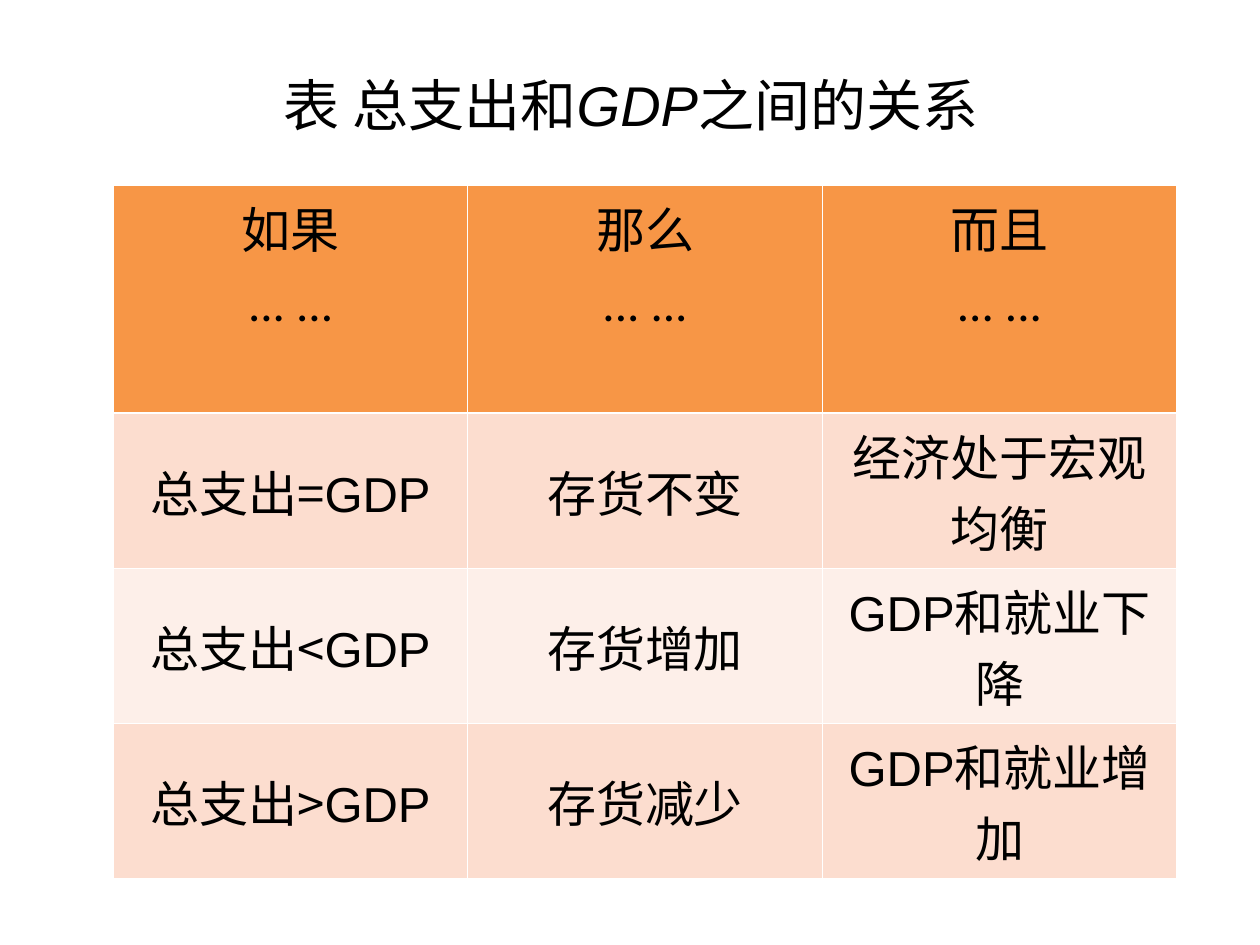
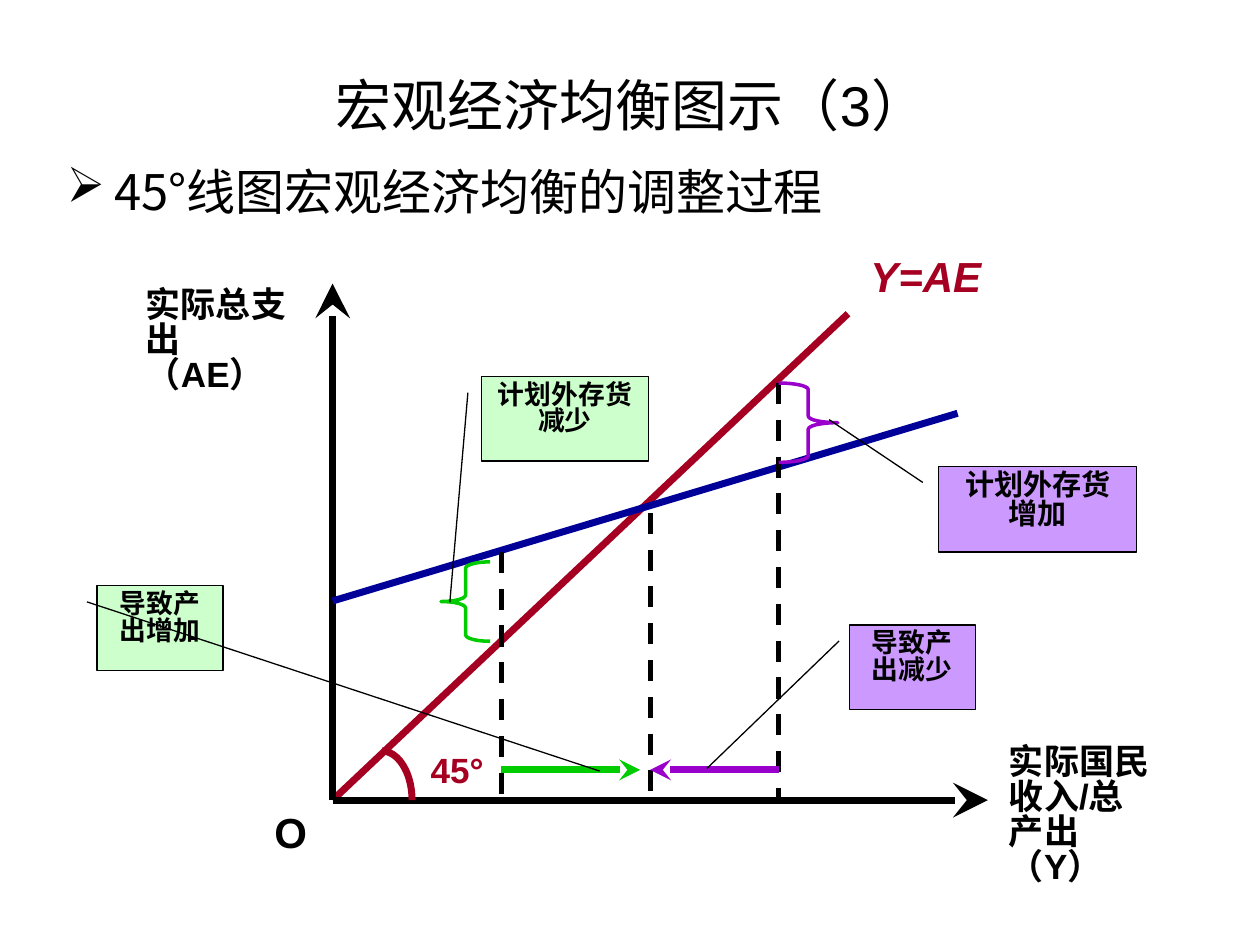
from dataclasses import dataclass
from typing import Any, NamedTuple

from pptx import Presentation
from pptx.dml.color import RGBColor
from pptx.enum.dml import MSO_LINE
from pptx.enum.shapes import MSO_CONNECTOR, MSO_SHAPE
from pptx.enum.text import MSO_ANCHOR, PP_ALIGN
from pptx.oxml.ns import qn
from pptx.util import Emu, Inches, Pt
from lxml.etree import SubElement, Element

BLACK = RGBColor(0x00, 0x00, 0x00)
WHITE = RGBColor(0xFF, 0xFF, 0xFF)
ORANGE = RGBColor(0xF7, 0x96, 0x46)
PEACH = RGBColor(0xFC, 0xDD, 0xCF)
PALE_PEACH = RGBColor(0xFD, 0xEF, 0xE9)
CRIMSON = RGBColor(0xA5, 0x00, 0x21)
NAVY = RGBColor(0x00, 0x00, 0x99)
PURPLE = RGBColor(0x99, 0x00, 0xCC)
LILAC = RGBColor(0xCC, 0x99, 0xFF)
GREEN = RGBColor(0x00, 0xCC, 0x00)
MINT = RGBColor(0xCC, 0xFF, 0xCC)

SANS = "Arial"
HEADER_FONT = "Calibri"
CHINESE = "Noto Sans CJK SC"
TIGHT = 0.83

SLIDE_WIDTH, SLIDE_HEIGHT = Inches(10), Inches(7.5)
COLUMNS, ROWS = 100, 75


class Run(NamedTuple):
    text: str
    font: str = CHINESE
    italic: bool = False


class Box(NamedTuple):
    left: float
    top: float
    width: float
    height: float


class Point(NamedTuple):
    x: float
    y: float


@dataclass(frozen=True)
class Stroke:
    start: Point
    end: Point
    color: RGBColor = BLACK
    width: float = 4
    dashed: bool = False
    arrow: str = ""


@dataclass(frozen=True)
class Label:
    text: str
    box: Box
    size: float
    color: RGBColor = BLACK
    italic: bool = False
    spacing: float = 1.0


@dataclass(frozen=True)
class Callout:
    text: str
    box: Box
    target: Point
    fill: RGBColor
    size: float = 15.3


@dataclass(frozen=True)
class Curve:
    kind: MSO_SHAPE
    box: Box
    color: RGBColor
    width: float
    bend: float = 0


TITLE_BOX = Box(5.1, 3.6, 90, 9.4)
BODY_BOX = Box(4.3, 12.3, 90, 59.8)

TABLE_BOX = Box(9, 14.7, 84.4, 55)
TABLE_ROWS = (18.1, 12.3, 12.3, 12.3)
HEADERS = ("如果", "那么", "而且")
GDP = Run("GDP", SANS)
RELATIONS = (
    ((Run("总支出="), GDP), (Run("存货不变"),), (Run("经济处于宏观均衡"),)),
    ((Run("总支出<"), GDP), (Run("存货增加"),), (GDP, Run("和就业下降"))),
    ((Run("总支出>"), GDP), (Run("存货减少"),), (GDP, Run("和就业增加"))),
)

ORIGIN = Point(26.4, 63.5)
LOW_OUTPUT, BALANCED_OUTPUT, HIGH_OUTPUT = 39.8, 51.6, 61.8
ADJUSTMENT_LEVEL = 61.1

STROKES = (
    Stroke(ORIGIN, Point(67.3, 24.9), CRIMSON),
    Stroke(ORIGIN, Point(ORIGIN.x, 22.5), arrow="lg"),
    Stroke(ORIGIN, Point(78.4, ORIGIN.y), arrow="lg"),
    Stroke(Point(ORIGIN.x, 47.7), Point(76, 32.8), NAVY),
    *(Stroke(Point(output, top), Point(output, ORIGIN.y), width=3, dashed=True)
      for output, top in ((HIGH_OUTPUT, 30.4), (LOW_OUTPUT, 43.8),
                          (BALANCED_OUTPUT, 40.7))),
    Stroke(Point(HIGH_OUTPUT, ADJUSTMENT_LEVEL),
           Point(BALANCED_OUTPUT, ADJUSTMENT_LEVEL), PURPLE, arrow="med"),
    Stroke(Point(LOW_OUTPUT, ADJUSTMENT_LEVEL),
           Point(50.8, ADJUSTMENT_LEVEL), GREEN, arrow="med"),
)
CURVES = (
    Curve(MSO_SHAPE.ARC, Box(27.9, 59.6, 4.8, 7.8), CRIMSON, 4),
    Curve(MSO_SHAPE.RIGHT_BRACE, Box(HIGH_OUTPUT, 30.4, 4.7, 6.3), PURPLE, 2, 0.11),
    Curve(MSO_SHAPE.LEFT_BRACE, Box(35, 44.6, 3.9, 6.3), GREEN, 2, 0.13),
)
LABELS = (
    Label("45°", Box(33.2, 58.9, 8.9, 4.4), 20, CRIMSON),
    Label("Y=AE", Box(68.1, 19.4, 11.3, 5), 24, CRIMSON, italic=True),
    Label("O", Box(20.8, 63.5, 4.7, 5), 24),
    Label("实际总支出（AE）", Box(10.6, 22.5, 13.4, 11), 20, spacing=TIGHT),
    Label("实际国民收入/总产出（Y）", Box(79.1, 58.8, 13.4, 14.4), 20, spacing=TIGHT),
)
CALLOUTS = (
    Callout("计划外存货增加", Box(74.5, 37, 15.7, 6.8), Point(65.8, 33.3), LILAC, 16.6),
    Callout("导致产出减少", Box(67.4, 49.6, 10, 6.7), Point(56.1, 61), LILAC),
    Callout("计划外存货减少", Box(38.2, 29.9, 13.3, 6.7), Point(35.7, 47.8), MINT),
    Callout("导致产出增加", Box(7.7, 46.5, 10, 6.7), Point(47.6, 61.2), MINT),
)


def column(count: float) -> Emu:
    return Emu(round(SLIDE_WIDTH * count / COLUMNS))


def row(count: float) -> Emu:
    return Emu(round(SLIDE_HEIGHT * count / ROWS))


def place(box: Box) -> tuple[Emu, Emu, Emu, Emu]:
    return column(box.left), row(box.top), column(box.width), row(box.height)


def apply_format(target: Any, values: dict[str, Any]) -> None:
    for name, value in values.items():
        setattr(target, name, value)


def write(paragraph: Any, runs: tuple[Run, ...], size: float,
          color: RGBColor = BLACK, bold: bool = False, **layout: Any) -> None:
    apply_format(paragraph, layout)
    for part in runs:
        run = paragraph.add_run()
        run.text = part.text
        apply_format(run.font, {"name": part.font, "size": Pt(size),
                                "bold": bold, "italic": part.italic})
        run.font.color.rgb = color
        SubElement(run.font._element, qn("a:ea"), typeface=CHINESE)


def add_text_box(slide: Any, box: Box, anchor: MSO_ANCHOR = MSO_ANCHOR.TOP) -> Any:
    frame = slide.shapes.add_textbox(*place(box)).text_frame
    apply_format(frame, {"word_wrap": True, "vertical_anchor": anchor})
    return frame.paragraphs[0]


def add_title(slide: Any, *runs: Run) -> None:
    paragraph = add_text_box(slide, TITLE_BOX, MSO_ANCHOR.MIDDLE)
    write(paragraph, runs, 32, alignment=PP_ALIGN.CENTER)


def add_bullet(slide: Any, text: str) -> None:
    paragraph = add_text_box(slide, BODY_BOX)
    properties = paragraph._p.get_or_add_pPr()
    indent = column(3.8)
    properties.set("marL", str(indent))
    properties.set("indent", str(-indent))
    SubElement(properties, qn("a:buChar"), char="➢")
    write(paragraph, (Run(text),), 28)


def set_borders(cell: Any, widths: dict[str, float]) -> None:
    properties = cell._tc.get_or_add_tcPr()
    for index, (side, width) in enumerate(widths.items()):
        line = Element(qn(f"a:{side}"), w=str(Pt(width)))
        fill = SubElement(line, qn("a:solidFill"))
        SubElement(fill, qn("a:srgbClr"), val=str(WHITE))
        properties.insert(index, line)


def style_cell(cell: Any, fill: RGBColor, anchor: MSO_ANCHOR,
               top: float, bottom: float) -> None:
    cell.vertical_anchor = anchor
    cell.fill.solid()
    cell.fill.fore_color.rgb = fill
    set_borders(cell, {"lnL": 0.45, "lnR": 0.45, "lnT": top, "lnB": bottom})


def add_relation_table(slide: Any) -> None:
    table = slide.shapes.add_table(len(TABLE_ROWS), len(HEADERS), *place(TABLE_BOX)).table
    table.horz_banding = False
    for table_row, height in zip(table.rows, TABLE_ROWS):
        table_row.height = row(height)
    for index, header in enumerate(HEADERS):
        table.columns[index].width = column(TABLE_BOX.width / len(HEADERS))
        cell = table.cell(0, index)
        style_cell(cell, ORANGE, MSO_ANCHOR.TOP, 0.45, 1.47)
        frame = cell.text_frame
        write(frame.paragraphs[0], (Run(header, HEADER_FONT),), 28,
              alignment=PP_ALIGN.CENTER)
        write(frame.add_paragraph(), (Run("... ...", HEADER_FONT),), 28,
              alignment=PP_ALIGN.CENTER, space_before=Pt(7))
    for row_index, relation in enumerate(RELATIONS, start=1):
        fill = PEACH if row_index % 2 else PALE_PEACH
        for index, runs in enumerate(relation):
            cell = table.cell(row_index, index)
            style_cell(cell, fill, MSO_ANCHOR.MIDDLE, 1.47 if row_index == 1 else 0.45, 0.45)
            write(cell.text_frame.paragraphs[0], runs, 28, alignment=PP_ALIGN.CENTER)


def set_line(line: Any, color: RGBColor, width: float) -> None:
    line.color.rgb = color
    line.width = Pt(width)


def add_stroke(slide: Any, stroke: Stroke) -> None:
    connector = slide.shapes.add_connector(
        MSO_CONNECTOR.STRAIGHT, column(stroke.start.x), row(stroke.start.y),
        column(stroke.end.x), row(stroke.end.y))
    set_line(connector.line, stroke.color, stroke.width)
    if stroke.dashed:
        connector.line.dash_style = MSO_LINE.DASH
    properties = connector._element.spPr
    if stroke.arrow:
        SubElement(properties.find(qn("a:ln")), qn("a:tailEnd"),
                   type="stealth", w=stroke.arrow, len=stroke.arrow)
    SubElement(properties, qn("a:effectLst"))


def add_curve(slide: Any, curve: Curve) -> None:
    shape = slide.shapes.add_shape(curve.kind, *place(curve.box))
    shape.shadow.inherit = False
    shape.fill.background()
    set_line(shape.line, curve.color, curve.width)
    if curve.bend:
        shape.adjustments[0] = curve.bend


def add_label(slide: Any, label: Label) -> None:
    write(add_text_box(slide, label.box), (Run(label.text, SANS, label.italic),),
          label.size, label.color, True, line_spacing=label.spacing)


def add_callout(slide: Any, callout: Callout) -> None:
    box, target = callout.box, callout.target
    shape = slide.shapes.add_shape(MSO_SHAPE.LINE_CALLOUT_1, *place(box))
    shape.shadow.inherit = False
    shape.fill.solid()
    shape.fill.fore_color.rgb = callout.fill
    set_line(shape.line, BLACK, 0.75)
    pointer = (0.19, -0.08, (target.y - box.top) / box.height,
               (target.x - box.left) / box.width)
    for index, share in enumerate(pointer):
        shape.adjustments[index] = share
    frame = shape.text_frame
    apply_format(frame, {"word_wrap": True, "vertical_anchor": MSO_ANCHOR.TOP})
    write(frame.paragraphs[0], (Run(callout.text, SANS),), callout.size, bold=True,
          alignment=PP_ALIGN.CENTER, line_spacing=TIGHT)


def main() -> None:
    presentation = Presentation()
    apply_format(presentation, {"slide_width": SLIDE_WIDTH, "slide_height": SLIDE_HEIGHT})
    blank = presentation.slide_layouts[6]

    table_slide = presentation.slides.add_slide(blank)
    add_title(table_slide, Run("表 总支出和"), Run("GDP", SANS, True), Run("之间的关系"))
    add_relation_table(table_slide)

    diagram_slide = presentation.slides.add_slide(blank)
    add_title(diagram_slide, Run("宏观经济均衡图示（3）", SANS))
    add_bullet(diagram_slide, "45°线图宏观经济均衡的调整过程")
    for items, draw in ((STROKES, add_stroke), (CURVES, add_curve),
                        (LABELS, add_label), (CALLOUTS, add_callout)):
        for item in items:
            draw(diagram_slide, item)

    presentation.save("out.pptx")


if __name__ == "__main__":
    main()
